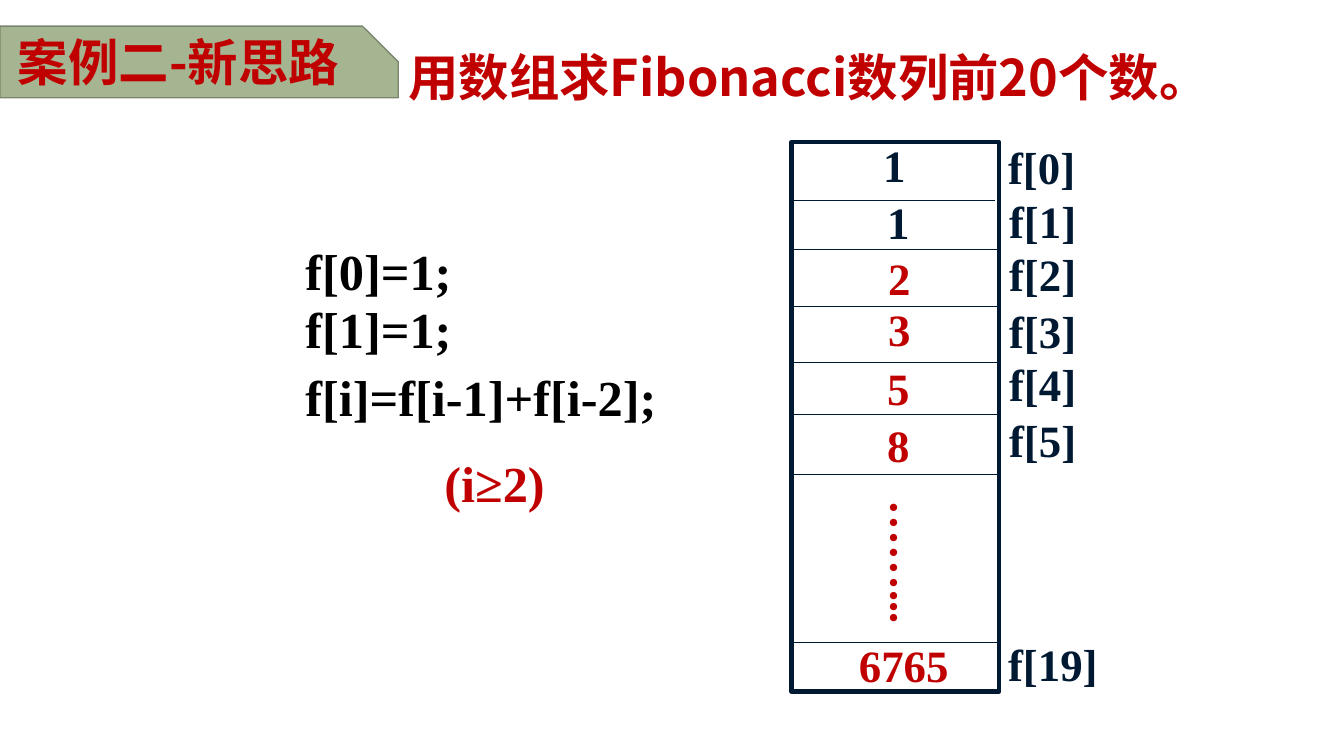
"""Build the slide that fills an array with Fibonacci numbers."""
from lxml.etree import SubElement
from pptx import Presentation
from pptx.dml.color import RGBColor
from pptx.enum.shapes import MSO_CONNECTOR as Connector, MSO_SHAPE as Shape
from pptx.enum.text import MSO_ANCHOR as Anchor, MSO_AUTO_SIZE as AutoSize, PP_ALIGN as Align
from pptx.oxml.ns import qn
from pptx.util import Inches, Pt


def color(value):
    return RGBColor.from_string(value)


class SlideBuilder:
    navy, red, black = "001932", "C00000", "000000"
    sage, sage_edge, white = "A5B592", "7A866C", "FFFFFF"
    serif, sans = "Times New Roman", "Noto Sans CJK SC"

    def __init__(self, slide):
        self.slide = slide

    def box(self, kind, left, top, width, height, fill, edge, weight):
        shape = self.slide.shapes.add_shape(
            kind, Inches(left), Inches(top), Inches(width), Inches(height))
        shape.shadow.inherit = False
        shape.fill.solid()
        shape.fill.fore_color.rgb = color(fill)
        shape.line.color.rgb = color(edge)
        shape.line.width = Pt(weight)
        return shape

    def rule(self, left, right, y):
        line = self.slide.shapes.add_connector(
            Connector.STRAIGHT, Inches(left), Inches(y), Inches(right), Inches(y))
        line.line.color.rgb = color(self.navy)
        line.line.width = Pt(0.75)
        SubElement(line._element.spPr, qn("a:effectLst"))

    def text(self, left, top, width, height, lines, size=32, font=serif,
             wrap=False, anchor=Anchor.TOP, align=Align.LEFT, spacing=None,
             before=0, grow=True):
        shape = self.slide.shapes.add_textbox(
            Inches(left), Inches(top), Inches(width), Inches(height))
        frame = shape.text_frame
        frame.word_wrap = wrap
        frame.vertical_anchor = anchor
        frame.auto_size = AutoSize.SHAPE_TO_FIT_TEXT if grow else AutoSize.NONE
        for index, (words, ink) in enumerate(lines):
            paragraph = frame.add_paragraph() if index else frame.paragraphs[0]
            paragraph.alignment = align
            if spacing:
                paragraph.line_spacing = spacing
            if index and before:
                paragraph.space_before = Pt(before)
            run = paragraph.add_run()
            run.text = words
            run.font.size = Pt(size)
            run.font.bold = True
            run.font.color.rgb = color(ink)
            run.font.name = font
            SubElement(run.font._element, qn("a:ea"), typeface=font)
        return shape


def main():
    presentation = Presentation()
    presentation.slide_width = Inches(13.33)
    presentation.slide_height = Inches(7.5)
    builder = SlideBuilder(presentation.slides.add_slide(presentation.slide_layouts[6]))
    navy, red, black = builder.navy, builder.red, builder.black

    builder.text(3.95, 0.41, 8.61, 0.71, [("用数组求Fibonacci数列前20个数。", red)],
                 size=36, font=builder.sans, wrap=True)

    builder.box(Shape.RECTANGLE, 7.85, 1.41, 2.06, 5.45, builder.white, navy, 3)
    for left, right, y in ((7.83, 9.87, 1.99), (7.88, 9.92, 2.48), (7.84, 9.9, 3.04),
                           (7.86, 9.92, 3.6), (7.84, 9.9, 4.11), (7.86, 9.92, 4.71),
                           (7.86, 9.92, 6.37)):
        builder.rule(left, right, y)

    for index, left, top, width in ((0, 9.9, 1.34, 0.87), (1, 9.91, 1.87, 0.87),
                                    (2, 9.91, 2.4, 0.87), (3, 9.91, 2.96, 0.87),
                                    (4, 9.91, 3.49, 0.87), (5, 9.91, 4.05, 0.87),
                                    (19, 9.9, 6.27, 1.1)):
        builder.text(left, top, width, 0.64, [(f"f[{index}]", navy)])

    for value, left, top, width, ink in (
            ("1", 8.66, 1.32, 0.43, navy), ("1", 8.7, 1.88, 0.43, navy),
            ("2", 8.71, 2.44, 0.42, red), ("3", 8.71, 2.94, 0.42, red),
            ("5", 8.7, 3.53, 0.42, red), ("8", 8.7, 4.09, 0.42, red),
            ("6765", 8.42, 6.28, 1.1, red)):
        builder.text(left, top, width, 0.64, [(value, ink)])

    dots = builder.text(8.64, 4.87, 0.74, 1.34, [("……...", red)],
                        anchor=Anchor.MIDDLE, align=Align.CENTER)
    dots.text_frame._txBody.bodyPr.set("vert", "eaVert")

    builder.text(2.93, 2.38, 4.92, 1.24, [("f[0]=1;", black), ("f[1]=1;", black)],
                 size=36, wrap=True, spacing=0.95)
    recurrence = builder.text(2.93, 3.63, 5, 1.56,
                              [("f[i]=f[i-1]+f[i-2];", black), ("(i≥2)", red)],
                              size=36, wrap=True, spacing=0.95, before=20)
    condition = recurrence.text_frame.paragraphs[1]
    condition._p.get_or_add_pPr().set("marL", str(Inches(1.38)))

    banner = builder.box(Shape.SNIP_1_RECTANGLE, 0, 0.26, 3.95, 0.71,
                         builder.sage, builder.sage_edge, 1)
    banner.adjustments[0] = 0.5
    builder.text(0.08, 0.19, 3.87, 0.84, [("案例二-新思路", red)], size=36,
                 font=builder.sans, wrap=True, anchor=Anchor.MIDDLE, grow=False)

    presentation.save("out.pptx")


if __name__ == "__main__":
    main()
